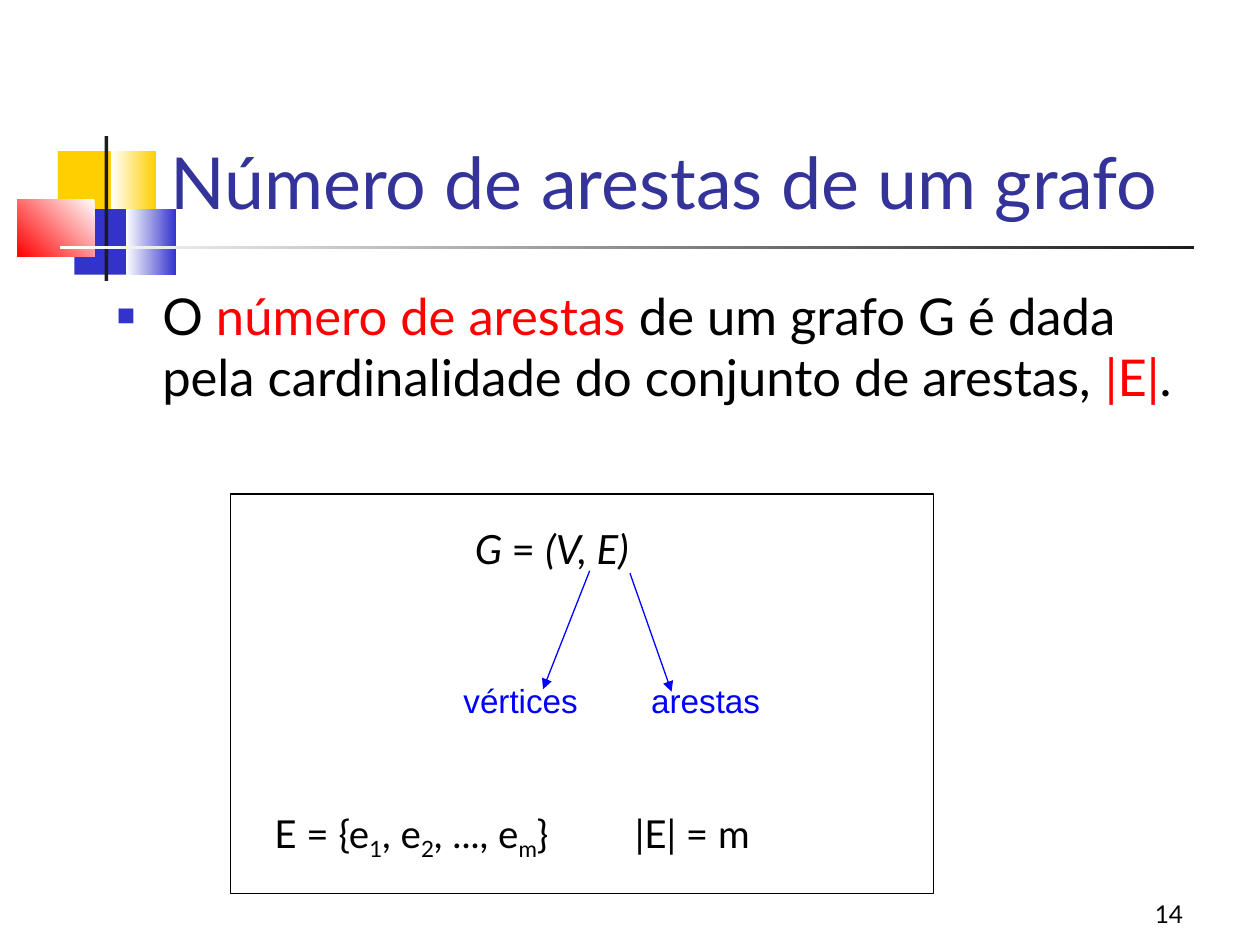
from lxml import etree
from pptx import Presentation
from pptx import util as u
from pptx.dml.color import RGBColor
from pptx.enum import shapes, text
from pptx.oxml import ns

YELLOW = RGBColor(0xFF, 0xCF, 0x01)
INDIGO = RGBColor(0x33, 0x33, 0xCC)
TITLE_BLUE = RGBColor(0x33, 0x33, 0x99)
BLUE = RGBColor(0x00, 0x00, 0xFF)
RED = RGBColor(0xFF, 0x00, 0x00)
CHARCOAL = RGBColor(0x1C, 0x1C, 0x1C)
BLACK = RGBColor(0x00, 0x00, 0x00)
WHITE = RGBColor(0xFF, 0xFF, 0xFF)


def add_element(parent, tag, **attributes):
    return etree.SubElement(parent, ns.qn(tag), attributes)


def add_run(paragraph, content, font="Lato", size=22, color=BLACK, italic=False, baseline=None):
    run = paragraph.add_run()
    run.text = content
    run.font.name = font
    run.font.size = u.Pt(size)
    run.font.color.rgb = color
    run.font.italic = italic
    if baseline:
        run.font._element.set("baseline", str(baseline * 1000))


class GraphSlide:
    def __init__(self, presentation):
        self.slide = presentation.slides.add_slide(presentation.slide_layouts[5])
        self.shapes = self.slide.shapes

    def rectangle(self, left, top, width, height, fill, fade_to=None, angle=180, line=None):
        shape = self.shapes.add_shape(
            shapes.MSO_SHAPE.RECTANGLE, *map(u.Inches, (left, top, width, height)))
        shape.shadow.inherit = False
        if fade_to is None:
            shape.fill.solid()
            shape.fill.fore_color.rgb = fill
        else:
            shape.fill.gradient()
            shape.fill.gradient_angle = angle
            for stop, color in zip(shape.fill.gradient_stops, (fill, fade_to)):
                stop.color.rgb = color
        if line is None:
            shape.line.fill.background()
        else:
            shape.line.color.rgb = line
            shape.line.width = u.Pt(0.75)

    def fill_text(self, shape, runs, align=text.PP_ALIGN.LEFT, anchor=text.MSO_ANCHOR.TOP,
                  spacing=None, tab=None, bullet=None, **style):
        frame = shape.text_frame
        frame.word_wrap = True
        frame.auto_size = text.MSO_AUTO_SIZE.NONE
        frame.vertical_anchor = anchor
        paragraph = frame.paragraphs[0]
        paragraph.alignment = align
        if spacing:
            paragraph.line_spacing = spacing
        properties = paragraph._p.get_or_add_pPr()
        if bullet:
            indent = u.Inches(0.36)
            properties.set("marL", str(indent))
            properties.set("indent", str(-indent))
            add_element(add_element(properties, "a:buClr"), "a:srgbClr", val=str(INDIGO))
            add_element(properties, "a:buSzPct", val="60000")
            add_element(properties, "a:buFont", typeface="Arial")
            add_element(properties, "a:buChar", char=bullet)
        if tab:
            add_element(add_element(properties, "a:tabLst"), "a:tab",
                        pos=str(u.Inches(tab)), algn="l")
        for content, changes in runs:
            add_run(paragraph, content, **{**style, **changes})

    def textbox(self, left, top, width, height, runs, **style):
        box = self.shapes.add_textbox(*map(u.Inches, (left, top, width, height)))
        self.fill_text(box, runs, **style)

    def title(self, left, top, width, height, content, **style):
        title = self.shapes.title
        title.left, title.top, title.width, title.height = map(
            u.Inches, (left, top, width, height))
        self.shapes._spTree.append(title._element)
        self.fill_text(title, [(content, {})], anchor=text.MSO_ANCHOR.BOTTOM, **style)

    def arrow(self, start, end, color):
        connector = self.shapes.add_connector(
            shapes.MSO_CONNECTOR.STRAIGHT, *map(u.Inches, (*start, *end)))
        connector.line.color.rgb = color
        connector.line.width = u.Pt(0.75)
        add_element(connector.line._get_or_add_ln(), "a:tailEnd", type="triangle")
        add_element(connector._element.spPr, "a:effectLst")


def main():
    presentation = Presentation()
    presentation.slide_width = u.Inches(10)
    presentation.slide_height = u.Inches(7.5)
    page = GraphSlide(presentation)

    page.rectangle(0.46, 1.2, 0.48, 0.52, YELLOW)
    page.rectangle(0.88, 1.2, 0.36, 0.52, YELLOW, fade_to=WHITE)
    page.rectangle(0.59, 1.66, 0.46, 0.52, INDIGO)
    page.rectangle(1, 1.66, 0.4, 0.52, INDIGO, fade_to=WHITE)
    page.rectangle(0.14, 1.58, 0.61, 0.46, WHITE, fade_to=RED, angle=225)
    page.rectangle(0.83, 1.08, 0.03, 1.15, CHARCOAL)
    page.rectangle(0.48, 1.95, 9, 0.03, CHARCOAL, fade_to=WHITE)

    page.title(1.25, 0.36, 8.52, 1.47, "Número de arestas de um grafo",
               size=41, color=TITLE_BLUE)

    highlight = {"color": RED}
    page.textbox(0.83, 2.21, 8.96, 1.2, [
        ("O ", {}),
        ("número de arestas", highlight),
        (" de um grafo G é dada pela cardinalidade do conjunto de arestas, ", {}),
        ("|E|", highlight),
        (".", {}),
    ], size=29, bullet="■")

    page.rectangle(1.83, 3.92, 5.58, 3.17, WHITE, line=BLACK)
    subscript = {"baseline": -25}
    page.textbox(2.08, 6.4, 5.5, 0.5, [
        ("E = {e", {}), ("1", subscript),
        (", e", {}), ("2", subscript),
        (", ..., e", {}), ("m", subscript),
        ("}\t|E| = m", {}),
    ], size=22, spacing=0.85, tab=2.86)
    page.textbox(3.67, 4.17, 1.75, 0.43, [
        ("G ", {}), ("= ", {"italic": False}), ("(V, E)", {}),
    ], size=23, italic=True, spacing=0.85)
    page.arrow((5, 4.55), (5.33, 5.49), BLUE)
    page.textbox(3.58, 5.35, 2.58, 0.42, [("vértices\tarestas", {})],
                 font="Arial", size=19, color=BLUE, tab=1.49)
    page.arrow((4.68, 4.53), (4.31, 5.47), BLUE)

    page.textbox(7.42, 6.92, 2.07, 0.5, [("14", {})], size=14,
                 align=text.PP_ALIGN.RIGHT, anchor=text.MSO_ANCHOR.BOTTOM)
    presentation.save("out.pptx")


if __name__ == "__main__":
    main()
